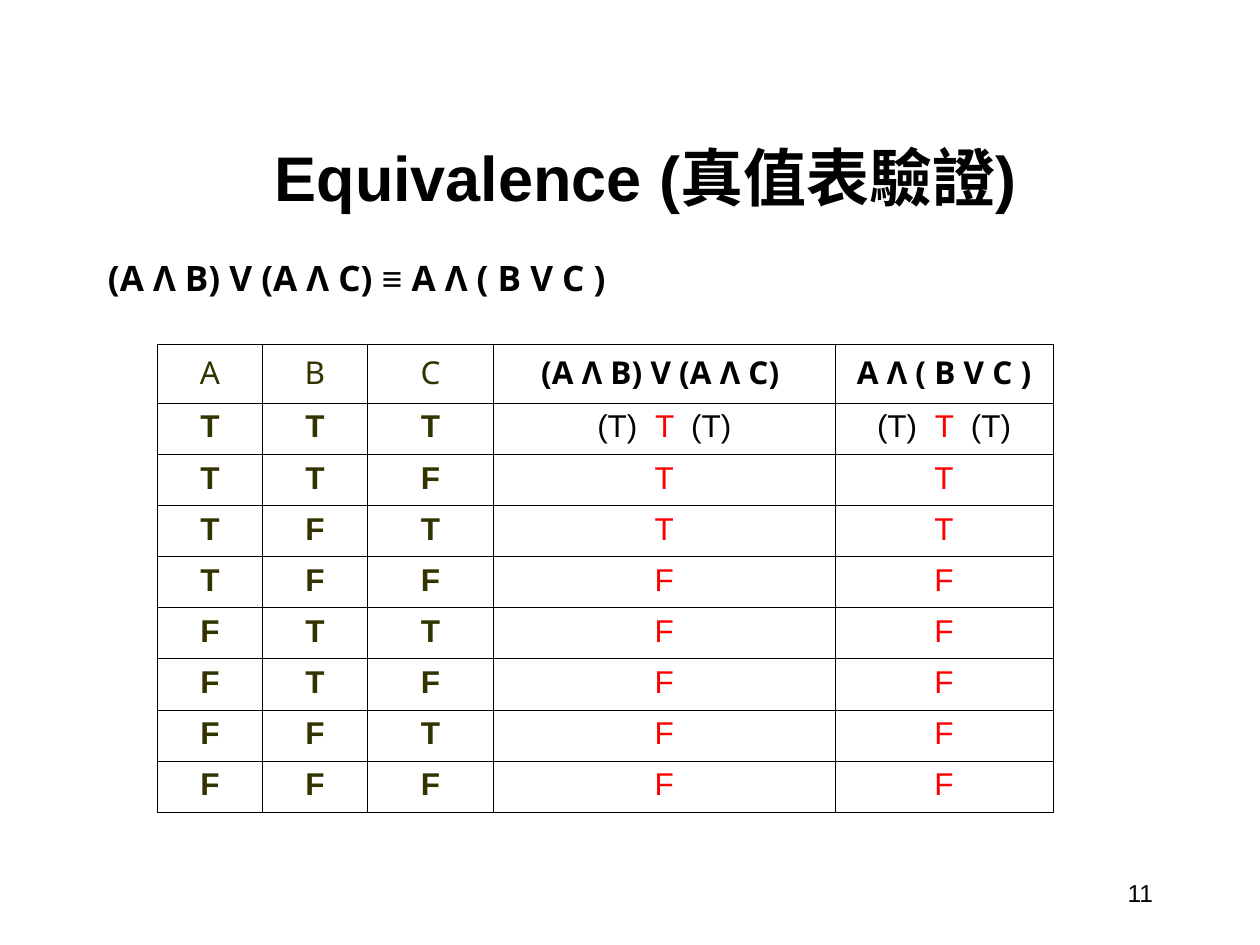
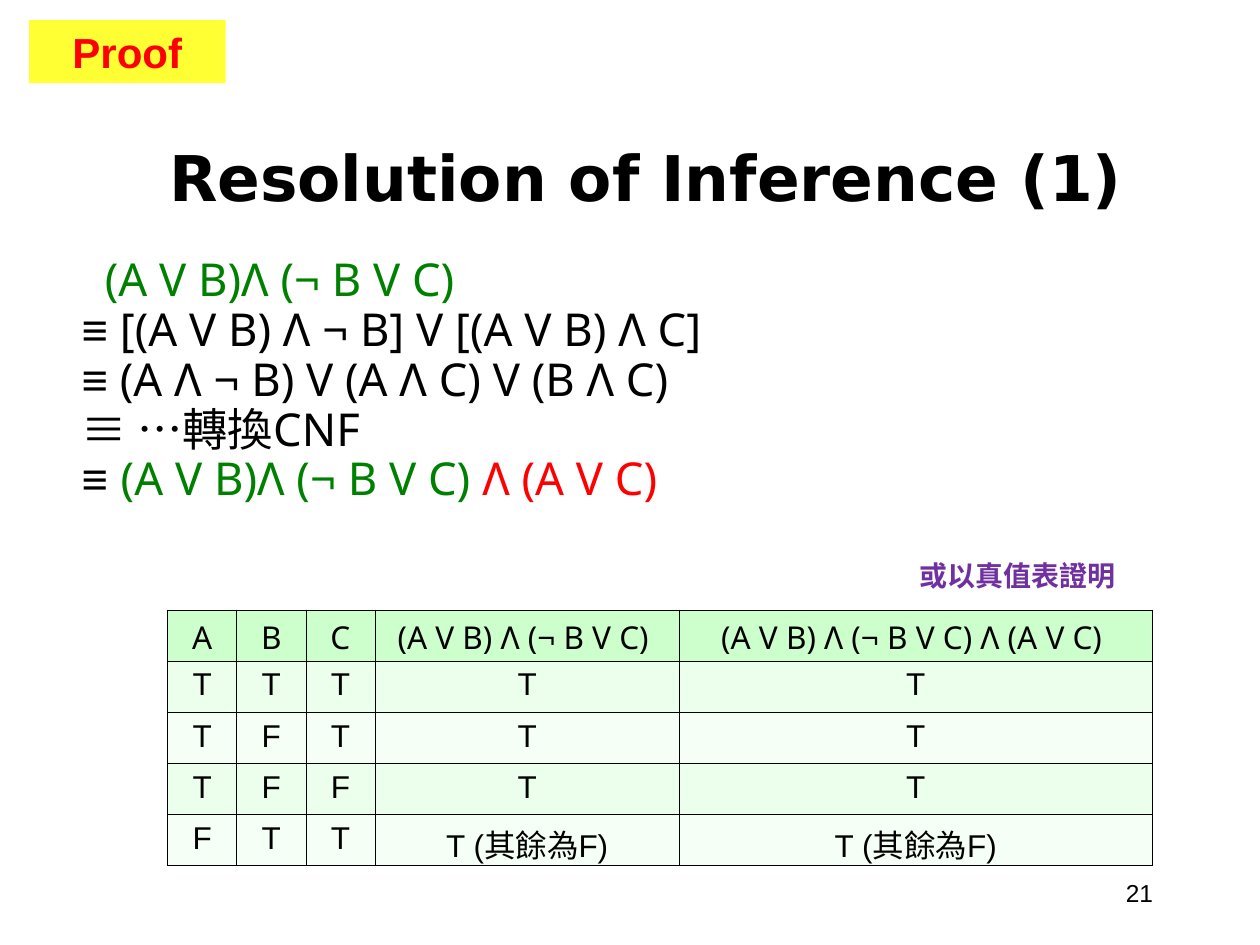
"""Build two slides on truth tables: equivalence and resolution of inference."""
from dataclasses import dataclass

from lxml import etree
from pptx import Presentation
from pptx.dml.color import RGBColor
from pptx.enum import shapes, text
from pptx.oxml import ns
from pptx.util import Pt


@dataclass(frozen=True)
class Theme:
    sans: str = "Arial"
    math: str = "Noto Sans"
    wide: str = "DejaVu Sans"
    black: str = "000000"
    olive: str = "333300"
    red: str = "FF0000"
    green: str = "008000"
    purple: str = "7030A0"
    yellow: str = "FFFF33"
    header_fill: str = "CCFFCC"
    band_fills: tuple = ("ECFFEC", "F6FFF6")
    title_size: float = 36
    tag_size: float = 24
    proof_size: float = 25.9
    law_size: float = 20
    table_size: float = 18
    note_size: float = 16
    number_size: float = 14
    border: float = 0.45


THEME = Theme()
LEFT, CENTER, RIGHT = text.PP_ALIGN.LEFT, text.PP_ALIGN.CENTER, text.PP_ALIGN.RIGHT
TOP, MIDDLE, BOTTOM = text.MSO_ANCHOR.TOP, text.MSO_ANCHOR.MIDDLE, text.MSO_ANCHOR.BOTTOM


def run(words, font=THEME.math, colour=THEME.black):
    return words, font, colour


def equivalent(words="≡"):
    return run(words, THEME.sans)


SLIDE_SIZE = (720, 540)
TITLE_BOX = (48, 72, 642, 54)
NUMBER_BOX = (618, 492, 48, 36)

EQUIVALENCE = {
    "title": run("Equivalence (真值表驗證)", THEME.sans),
    "number": "11",
    "law": [run("(A Λ B) V (A Λ C) "), equivalent(), run(" A Λ ( B V C )")],
    "header": ["A", "B", "C", "(A Λ B) V (A Λ C) ", "A Λ ( B V C )"],
    "rows": ["TTTTT", "TTFTT", "TFTTT", "TFFFF", "FTTFF", "FTFFF", "FFTFF", "FFFFF"],
    "columns": [60, 60, 72, 195.3, 124.5],
    "heights": [33.5] + [29.25] * 8,
}
WORKED_RESULT = [run("(T)  ", THEME.sans), run("T ", THEME.sans, THEME.red),
                 run(" (T)", THEME.sans)]

RESOLUTION = {
    "title": run("Resolution of Inference (1)", THEME.wide),
    "number": "21",
    "tag": run("Proof", THEME.sans, THEME.red),
    "steps": [
        [run("(A V B)Λ (¬ B V C)", colour=THEME.green)],
        [equivalent(), run(" [(A V B) Λ ¬ B] V [(A V B) Λ C]")],
        [equivalent(), run(" (A Λ ¬ B) V (A Λ C) V (B Λ C)")],
        [equivalent(), run(" …轉換CNF")],
        [equivalent("≡ "), run("(A V B)Λ (¬ B V C) ", colour=THEME.green),
         run("Λ (A V C)", colour=THEME.red)],
    ],
    "note": run("或以真值表證明", colour=THEME.purple),
    "header": ["A", "B", "C", "(A V B) Λ (¬ B V C) ", "(A V B) Λ (¬ B V C) Λ (A V C) "],
    "rows": ["TTTTT", "TFTTT", "TFFTT", ["F", "T", "T", "T (其餘為F)", "T (其餘為F)"]],
    "columns": [39.5, 39.5, 39.5, 174, 270],
    "heights": [29.25] * 5,
}


def write(paragraph, runs, size, bold=False, align=LEFT):
    paragraph.alignment = align
    paragraph.font.size, paragraph.font.bold = Pt(size), bold
    same_font = len({font for _, font, _ in runs}) == 1
    same_colour = len({colour for _, _, colour in runs}) == 1
    for words, font, colour in runs:
        piece = paragraph.add_run()
        piece.text = words
        (paragraph if same_font else piece).font.name = font
        (paragraph if same_colour else piece).font.color.rgb = RGBColor.from_string(colour)


def add_text(slide, box, lines, size, bold=False, align=LEFT, anchor=TOP, wrap=True,
             spacing=None, gap=0, first_indent=0, fill=None):
    box = [Pt(length) for length in box]
    if fill:
        shape = slide.shapes.add_shape(shapes.MSO_SHAPE.RECTANGLE, *box)
        shape.shadow.inherit = False
        shape.fill.solid()
        shape.fill.fore_color.rgb = RGBColor.from_string(fill)
        shape.line.fill.background()
    else:
        shape = slide.shapes.add_textbox(*box)
    frame = shape.text_frame
    frame.word_wrap, frame.vertical_anchor = wrap, anchor
    for index, runs in enumerate(lines):
        paragraph = frame.add_paragraph() if index else frame.paragraphs[0]
        if spacing:
            paragraph.line_spacing = spacing
        if index:
            paragraph.space_before = Pt(gap)
        elif first_indent:
            paragraph._p.get_or_add_pPr().set("indent", str(Pt(first_indent)))
        write(paragraph, runs, size, bold, align)


def add_borders(cell):
    properties = cell._tc.get_or_add_tcPr()
    for index, side in enumerate(("a:lnL", "a:lnR", "a:lnT", "a:lnB")):
        line = etree.Element(ns.qn(side), w=str(Pt(THEME.border)))
        fill = etree.SubElement(line, ns.qn("a:solidFill"))
        etree.SubElement(fill, ns.qn("a:srgbClr"), val=THEME.black)
        properties.insert(index, line)


def add_truth_table(slide, content, left, top, style):
    columns, heights = content["columns"], content["heights"]
    table = slide.shapes.add_table(len(heights), len(columns), Pt(left), Pt(top),
                                   Pt(sum(columns)), Pt(sum(heights))).table
    table.first_row = table.horz_banding = False
    for column, width in zip(table.columns, columns):
        column.width = Pt(width)
    for row, height in zip(table.rows, heights):
        row.height = Pt(height)
    for row, values in enumerate([content["header"], *content["rows"]]):
        for column, value in enumerate(values):
            cell = table.cell(row, column)
            runs, bold, fill = style(row, column, value)
            write(cell.text_frame.paragraphs[0], runs, THEME.table_size, bold, CENTER)
            add_borders(cell)
            if fill:
                cell.fill.solid()
                cell.fill.fore_color.rgb = RGBColor.from_string(fill)
            else:
                cell.fill.background()


def equivalence_style(row, column, value):
    is_input = column < 3
    if row == 0:
        colour = THEME.olive if is_input else THEME.black
        return [run(value, colour=colour)], not is_input, None
    if row == 1 and not is_input:
        return WORKED_RESULT, False, None
    return [run(value, THEME.sans, THEME.olive if is_input else THEME.red)], is_input, None


def resolution_style(row, column, value):
    if row == 0:
        return [run(value)], False, THEME.header_fill
    return [run(value, THEME.sans)], False, THEME.band_fills[(row - 1) % 2]


def add_slide(presentation, content):
    slide = presentation.slides.add_slide(presentation.slide_layouts[6])
    add_text(slide, NUMBER_BOX, [[run(content["number"], THEME.sans)]], THEME.number_size,
             align=RIGHT, anchor=MIDDLE)
    add_text(slide, TITLE_BOX, [[content["title"]]], THEME.title_size, bold=True,
             align=CENTER, anchor=BOTTOM)
    return slide


def main():
    presentation = Presentation()
    presentation.slide_width, presentation.slide_height = map(Pt, SLIDE_SIZE)

    slide = add_slide(presentation, EQUIVALENCE)
    add_truth_table(slide, EQUIVALENCE, 90, 196.8, equivalence_style)
    add_text(slide, (39.6, 146, 368, 34), [EQUIVALENCE["law"]], THEME.law_size, bold=True,
             spacing=0.9, first_indent=15)

    slide = add_slide(presentation, RESOLUTION)
    add_text(slide, (39.6, 146, 621, 160.5), RESOLUTION["steps"], THEME.proof_size,
             spacing=0.8, gap=3.6, first_indent=13.2)
    add_truth_table(slide, RESOLUTION, 95.8, 348.5, resolution_style)
    add_text(slide, (518.4, 315.4, 126, 26.6), [[RESOLUTION["note"]]], THEME.note_size,
             bold=True, align=CENTER, wrap=False)
    add_text(slide, (16.6, 11.5, 112.3, 36), [[RESOLUTION["tag"]]], THEME.tag_size,
             bold=True, align=CENTER, fill=THEME.yellow)

    presentation.save("out.pptx")


if __name__ == "__main__":
    main()
